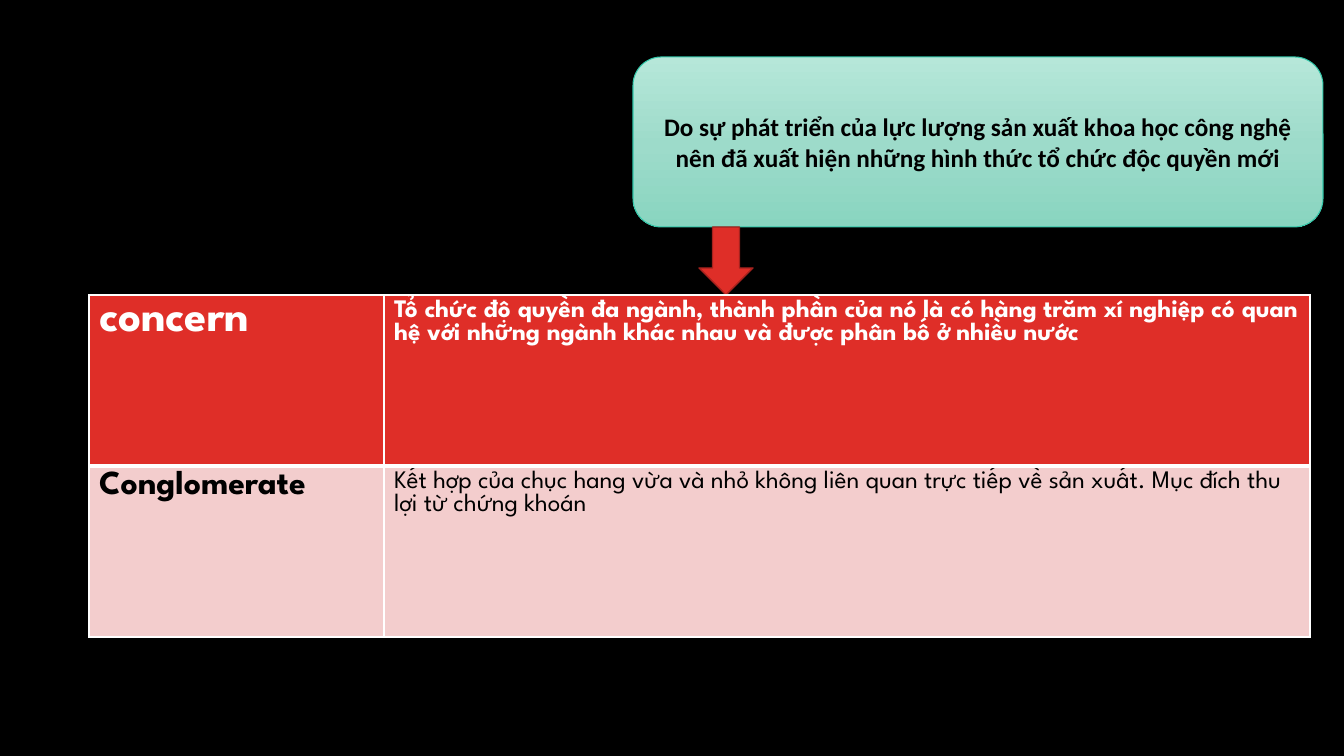
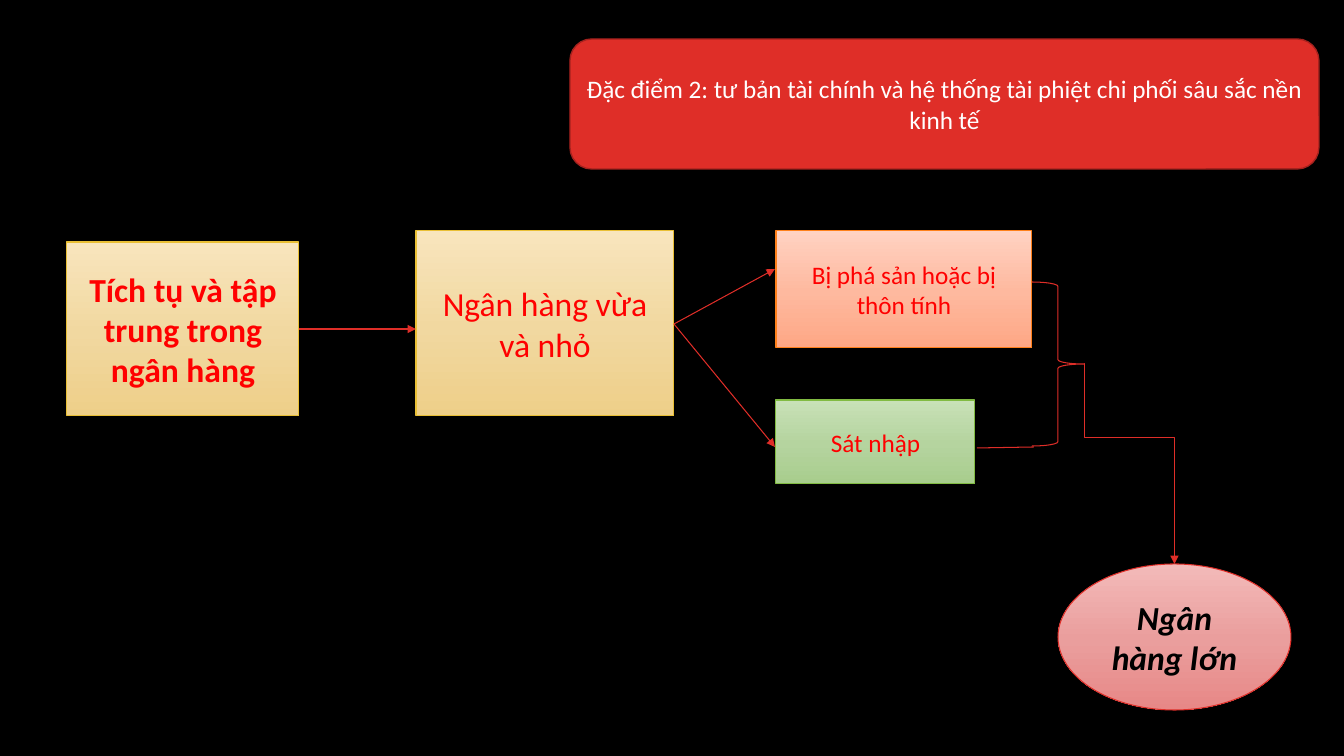
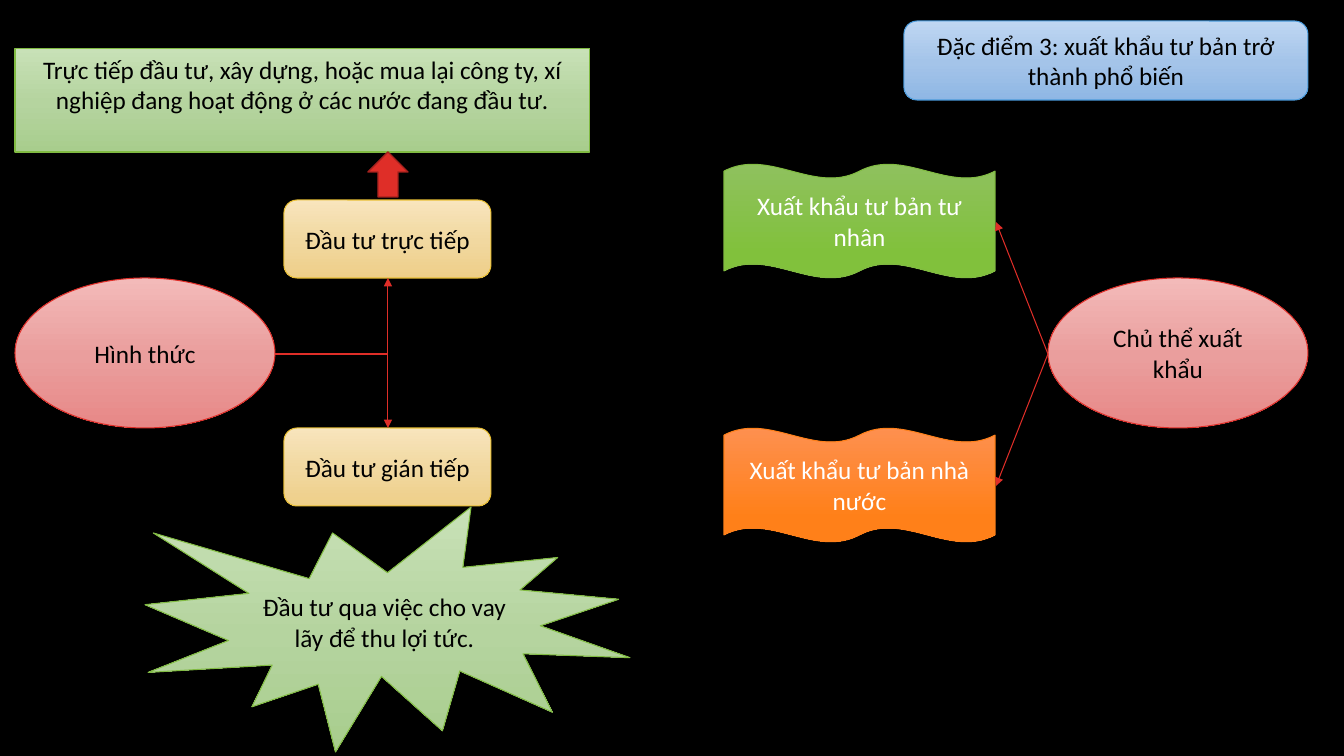
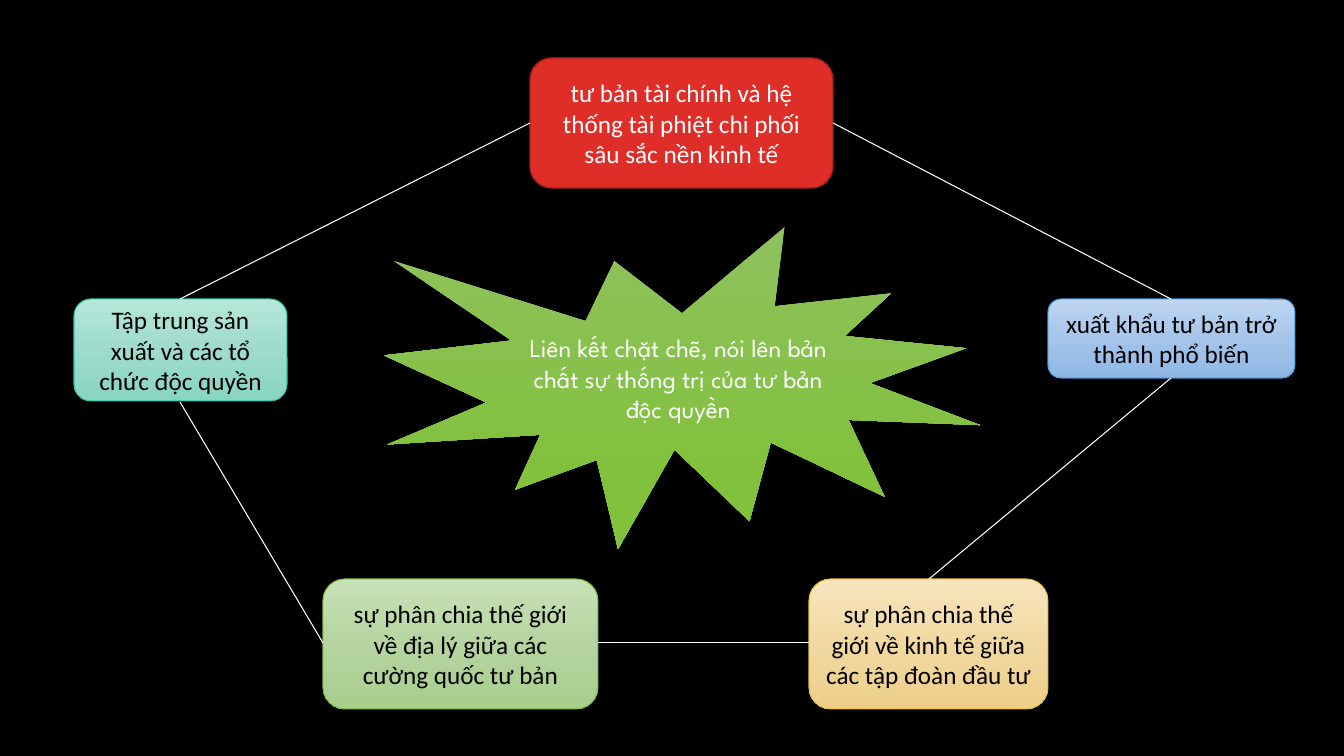
import copy

import lxml.etree
import pptx
import pptx.dml.color
import pptx.enum.shapes
import pptx.oxml.ns
import pptx.util

PX = 914400 / 100.8
SHAPE = pptx.enum.shapes.MSO_SHAPE
CONNECTOR = pptx.enum.shapes.MSO_CONNECTOR
qn = pptx.oxml.ns.qn


class Theme:
    background = "000000"
    black = "000000"
    white = "FFFFFF"
    red = "DF2E28"
    bright_red = "FF0000"
    pink_row = "F3CDCD"
    body_font = "Calibri"
    display_font = "League Spartan"
    body_size = 18
    large_size = 24
    heading_size = 32
    thin = 0.75
    # Each style: gradient stops by percent, outline colour, outline width
    styles = {
        "red": ({0: "DF2E28"}, "A5221E", 1),
        "mint": ({0: "B6E7D9", 52: "9DDBCA", 100: "89D5C0"}, "32C7A9", thin),
        "sand": ({0: "F8E5BD", 52: "F1D8A0", 100: "EECF89"}, "E9BF35", thin),
        "peach": ({0: "FFD2C2", 52: "FEB99F", 100: "FEA785"}, "FE801A", thin),
        "sage": ({0: "C8E1B7", 52: "B5D49F", 100: "A8CD8D"}, "81BB42", thin),
        "rose": ({0: "F3BAB9", 52: "EA9E9D", 100: "E78887"}, "DF2E28", thin),
        "sky": ({0: "BFD6F2", 52: "A4C4E9", 100: "8FB7E4"}, "4A9BDC", thin),
        "green": ({0: "8FC15E", 78: "81C13C"}, "81BB42", thin),
        "orange": ({0: "FE904F", 78: "FF8019"}, "FE801A", thin),
    }


rgb = pptx.dml.color.RGBColor.from_string


def add_box(slide, kind, bounds, style, text="", color=Theme.black,
            size=Theme.body_size, font=Theme.body_font, bold=False, italic=False):
    """Add a preset shape in a theme style, with centred text."""
    shape = slide.shapes.add_shape(kind, *(round(n * PX) for n in bounds))
    shape.shadow.inherit = False
    stops, outline, width = Theme.styles[style]
    if len(stops) == 1:
        shape.fill.solid()
        shape.fill.fore_color.rgb = rgb(stops[0])
    else:
        shape.fill.gradient()
        shape.fill.gradient_angle = 270
        stop_list = shape._element.spPr.find(".//" + qn("a:gsLst"))
        while len(stop_list) < len(stops):
            stop_list.append(copy.deepcopy(stop_list[-1]))
        for stop, (percent, stop_color) in zip(shape.fill.gradient_stops, stops.items()):
            stop.position = percent / 100
            stop.color.rgb = rgb(stop_color)
    shape.line.color.rgb = rgb(outline)
    shape.line.width = pptx.util.Pt(width)
    if text:
        paragraph = shape.text_frame.paragraphs[0]
        paragraph.text = text
        paragraph.font.name = font
        paragraph.font.size = pptx.util.Pt(size)
        paragraph.font.color.rgb = rgb(color)
        paragraph.font.bold = bold
        paragraph.font.italic = italic
    return shape


def add_line(slide, ends, color=Theme.red, arrows=(), kind=CONNECTOR.STRAIGHT):
    """Add a connector; arrows names the ends that carry a triangle."""
    connector = slide.shapes.add_connector(kind, *(round(n * PX) for n in ends))
    connector.line.color.rgb = rgb(color)
    connector.line.width = pptx.util.Pt(Theme.thin)
    properties = connector._element.spPr
    for end in arrows:
        lxml.etree.SubElement(properties.find(qn("a:ln")), qn(f"a:{end}"), type="triangle")
    lxml.etree.SubElement(properties, qn("a:effectLst"))
    return connector


presentation = pptx.Presentation()
presentation.slide_width = round(1344 * PX)
presentation.slide_height = round(756 * PX)
slides = []
for _ in range(4):
    slide = presentation.slides.add_slide(presentation.slide_layouts[6])
    slide.background.fill.solid()
    slide.background.fill.fore_color.rgb = rgb(Theme.background)
    slides.append(slide)
forms_slide, finance_slide, export_slide, summary_slide = slides

# Slide 1: new forms of monopoly
add_box(forms_slide, SHAPE.ROUNDED_RECTANGLE, (633, 57, 690, 170), "mint",
        "Do sự phát triển của lực lượng sản xuất khoa học công nghệ nên đã xuất hiện "
        "những hình thức tổ chức độc quyền mới", bold=True)
add_box(forms_slide, SHAPE.DOWN_ARROW, (699, 227, 54, 68), "red")

# Each row: fill, text colour, top and bottom border, then text, size and bold of each cell
table_rows = [
    (Theme.red, Theme.white, 1, 3, [
        ("concern", Theme.heading_size, True),
        ("Tổ chức độ quyền đa ngành, thành phần của nó là có hàng trăm xí nghiệp có quan "
         "hệ với những ngành khác nhau và được phân bố ở nhiều nước", Theme.body_size, True)]),
    (Theme.pink_row, Theme.black, 3, 1, [
        ("Conglomerate", Theme.large_size, True),
        ("Kết hợp của chục hang vừa và nhỏ không liên quan trực tiếp về sản xuất. "
         "Mục đích thu lợi từ chứng khoán", Theme.body_size, False)]),
]
column_widths = (295, 926)
row_height = 171
table = forms_slide.shapes.add_table(
    len(table_rows), len(column_widths), round(89 * PX), round(295 * PX),
    round(sum(column_widths) * PX), round(row_height * len(table_rows) * PX)).table
table.first_row = table.horz_banding = False
for column, width in zip(table.columns, column_widths):
    column.width = round(width * PX)
for r, (fill, color, top, bottom, contents) in enumerate(table_rows):
    table.rows[r].height = round(row_height * PX)
    for c, (text, size, bold) in enumerate(contents):
        cell = table.cell(r, c)
        cell_properties = cell._tc.get_or_add_tcPr()
        for side, width in (("L", 1), ("R", 1), ("T", top), ("B", bottom)):
            border = lxml.etree.SubElement(
                cell_properties, qn(f"a:ln{side}"), w=str(pptx.util.Pt(width)))
            border_fill = lxml.etree.SubElement(border, qn("a:solidFill"))
            lxml.etree.SubElement(border_fill, qn("a:srgbClr"), val=Theme.white)
        cell.fill.solid()
        cell.fill.fore_color.rgb = rgb(fill)
        paragraph = cell.text_frame.paragraphs[0]
        paragraph.text = text
        paragraph.font.name = Theme.display_font
        paragraph.font.size = pptx.util.Pt(size)
        paragraph.font.bold = bold
        paragraph.font.color.rgb = rgb(color)

# Slide 2: finance capital
add_box(finance_slide, SHAPE.ROUNDED_RECTANGLE, (570, 39, 749, 130), "red",
        "Đặc điểm 2: tư bản tài chính và hệ thống tài phiệt chi phối sâu sắc nền kinh tế",
        Theme.white)
for bounds, style, text, size, bold in [
    ((67, 242, 232, 174), "sand", "Tích tụ và tập trung trong ngân hàng", Theme.large_size, True),
    ((416, 231, 258, 185), "sand", "Ngân hàng vừa và nhỏ", Theme.large_size, False),
    ((776, 231, 256, 117), "peach", "Bị phá sản hoặc bị thôn tính", Theme.body_size, False),
    ((776, 400, 199, 84), "sage", "Sát nhập", Theme.body_size, False),
]:
    add_box(finance_slide, SHAPE.RECTANGLE, bounds, style, text, Theme.bright_red, size, bold=bold)
for ends in [(299, 329, 416, 329), (674, 324, 775, 269), (674, 324, 775, 447)]:
    add_line(finance_slide, ends, arrows=["tailEnd"])
brace = add_box(finance_slide, SHAPE.RIGHT_BRACE, (1032, 282, 52, 164), "rose")
brace.fill.background()
add_line(finance_slide, (977, 448, 1034, 447))
large_bank = add_box(finance_slide, SHAPE.OVAL, (1058, 564, 233, 146), "rose", "Ngân hàng lớn",
                     size=Theme.large_size, bold=True, italic=True)

# Elbow from the tip of the brace: down, right, down
elbow = add_line(finance_slide, (1084, 364, 1175, 564), arrows=["tailEnd"], kind=CONNECTOR.ELBOW)
elbow.begin_connect(brace, 1)
elbow.end_connect(large_bank, 0)
elbow.begin_x = brace.left + brace.width
transform = elbow._element.spPr.find(qn("a:xfrm"))
for name, value in (("rot", "10800000"), ("flipH", "1"), ("flipV", "1")):
    transform.set(name, value)
geometry = elbow._element.spPr.find(qn("a:prstGeom"))
geometry.set("prst", "bentConnector4")
adjustments = geometry.find(qn("a:avLst"))
for name, value in (("adj1", 800), ("adj2", 36700)):
    lxml.etree.SubElement(adjustments, qn("a:gd"), name=name, fmla=f"val {value}")

# Slide 3: export of capital
add_box(export_slide, SHAPE.ROUNDED_RECTANGLE, (904, 21, 404, 79), "sky",
        "Đặc điểm 3: xuất khẩu tư bản trở thành phổ biến")
for left, text in [(15, "Hình thức"), (1048, "Chủ thể xuất khẩu")]:
    add_box(export_slide, SHAPE.OVAL, (left, 278, 260, 150), "rose", text)
for top, text in [(200, "Đầu tư trực tiếp"), (428, "Đầu tư gián tiếp")]:
    add_box(export_slide, SHAPE.ROUNDED_RECTANGLE, (284, top, 207, 78), "sand", text)
add_box(export_slide, SHAPE.EXPLOSION1, (145, 507, 485, 245), "sage",
        "Đầu tư qua việc cho vay lãy để thu lợi tức.")
add_line(export_slide, (388, 278, 388, 428), arrows=["headEnd", "tailEnd"])
add_line(export_slide, (275, 354, 388, 354))
direct_note = add_box(
    export_slide, SHAPE.RECTANGLE, (15, 48, 575, 104), "sage",
    "Trực tiếp đầu tư, xây dựng, hoặc mua lại công ty, xí nghiệp đang hoạt động ở các nước "
    "đang đầu tư.")
direct_note.text_frame.margin_bottom = round(36 * PX)
add_box(export_slide, SHAPE.UP_ARROW, (368, 152, 40, 45), "red")
for top, style, text in [(164, "green", "Xuất khẩu tư bản tư nhân"),
                         (428, "orange", "Xuất khẩu tư bản nhà nước")]:
    add_box(export_slide, SHAPE.DOUBLE_WAVE, (724, top, 271, 114), style, text, Theme.white)
    add_line(export_slide, (1048, 354, 996, top + 58), arrows=["tailEnd"])

# Slide 4: how the features are linked
for bounds, style, text, color in [
    ((74, 299, 213, 102), "mint", "Tập trung sản xuất và các tổ chức độc quyền", Theme.black),
    ((530, 58, 303, 130), "red",
     "tư bản tài chính và hệ thống tài phiệt chi phối sâu sắc nền kinh tế", Theme.white),
    ((1048, 299, 247, 79), "sky", "xuất khẩu tư bản trở thành phổ biến", Theme.black),
    ((809, 579, 239, 130), "sand",
     "sự phân chia thế giới về kinh tế giữa các tập đoàn đầu tư", Theme.black),
    ((323, 579, 275, 130), "sage",
     "sự phân chia thế giới về địa lý giữa các cường quốc tư bản", Theme.black),
]:
    add_box(summary_slide, SHAPE.ROUNDED_RECTANGLE, bounds, style, text, color)
for ends in [(530, 123, 180, 299), (833, 123, 1171, 299), (1171, 378, 929, 579),
             (598, 643, 809, 643), (180, 402, 323, 643)]:
    add_line(summary_slide, ends, Theme.white)
conclusion = add_box(summary_slide, SHAPE.EXPLOSION1, (384, 227, 596, 322), "green",
                     "Liên kết chặt chẽ, nói lên bản chất sự thống trị của tư bản độc quyền",
                     Theme.white, font=Theme.display_font)
conclusion.line.fill.background()

presentation.save("out.pptx")
